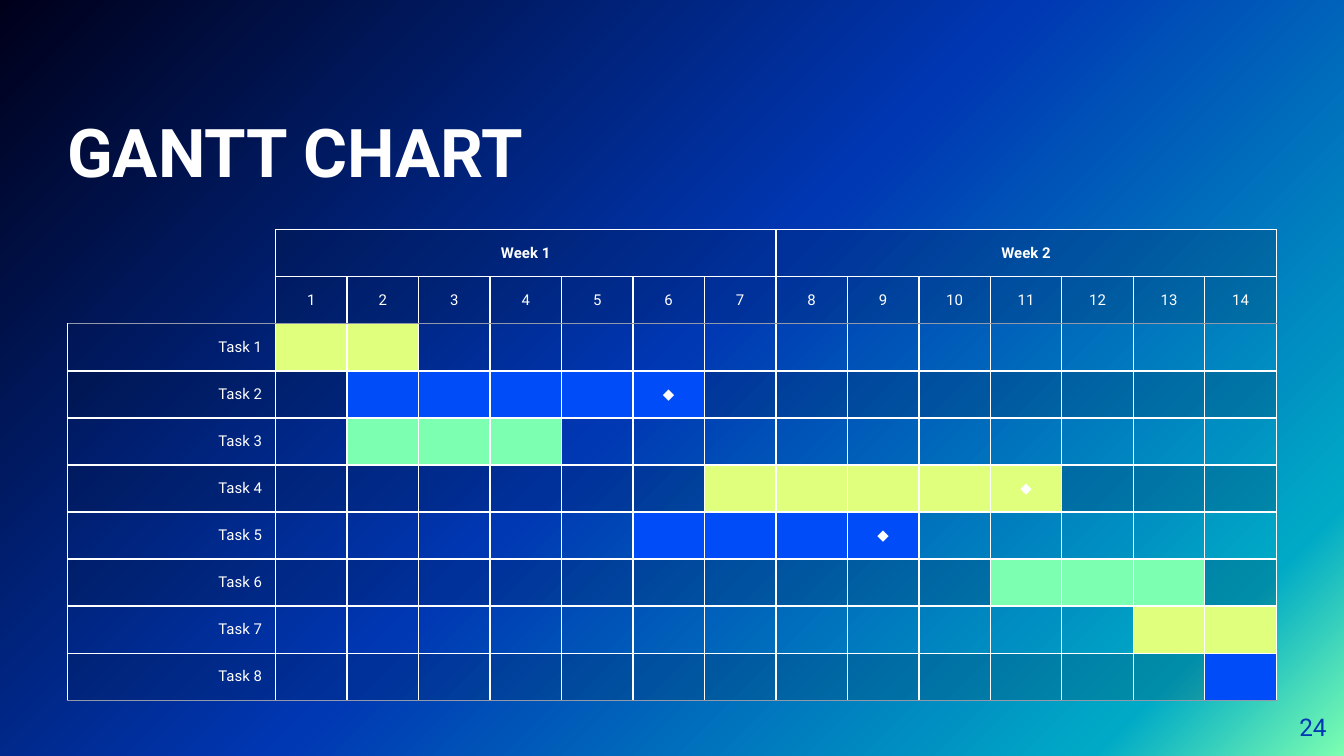
from lxml.etree import SubElement
from pptx import Presentation
from pptx.dml.color import RGBColor
from pptx.enum.text import MSO_ANCHOR, PP_ALIGN
from pptx.oxml.ns import qn
from pptx.util import Inches, Pt

WIDE = 10
HIGH = WIDE * 9 / 16
EDGE = WIDE / 20
FONT = "Roboto"
HUES = {"white": "FFFFFF", "grey": "9199AA", "shade": "001230",
        "lime": "E0FF7D", "blue": "004CF8", "mint": "7DFFB1",
        "navy": "0037B3", "teal": "00AAC6", "night": "00001A"}
GLOW = [(0, "mint"), (12, "teal"), (51, "navy"), (100, "night")]
WEEKS, DAYS, HEADS = 2, 7, 2
# First day, last day, bar colour, day of the milestone
TASKS = [(1, 2, "lime", None), (2, 6, "blue", 6), (2, 4, "mint", None),
         (7, 11, "lime", 11), (6, 9, "blue", 9), (11, 13, "mint", None),
         (13, 14, "lime", None), (14, 14, "blue", None)]
SPAN = WEEKS * DAYS
ROWS = HEADS + len(TASKS)
NAME, ROW = 1.55, 0.35
DAY = (WIDE - 2 * EDGE - NAME) / SPAN


def rgb(name):
    return RGBColor.from_string(HUES[name])


def style(item, form):
    for key, value in form.items():
        setattr(item, key, value)


def write(frame, text, size, hue="white", bold=False, align=PP_ALIGN.LEFT):
    para = frame.paragraphs[0]
    para.alignment = align
    run = para.add_run()
    run.text = text
    style(run.font, {"name": FONT, "size": Pt(size), "bold": bold})
    run.font.color.rgb = rgb(hue)


def place(shape, left, top, wide, high, anchor):
    style(shape, {"left": Inches(left), "top": Inches(top),
                  "width": Inches(wide), "height": Inches(high)})
    style(shape.text_frame, {
        "margin_left": 0, "margin_right": 0, "margin_top": 0,
        "margin_bottom": 0, "word_wrap": True, "vertical_anchor": anchor})


def backdrop(slide):
    fill = slide.background.fill
    fill.gradient()
    fill.gradient_angle = 135
    stops = slide.element.find(".//" + qn("a:gsLst"))
    for old in list(stops):
        stops.remove(old)
    for share, hue in GLOW:
        stop = SubElement(stops, qn("a:gs"), pos=str(share * 1000))
        SubElement(stop, qn("a:srgbClr"), val=HUES[hue])


def paint(cell, hue):
    """Fill a cell; shade is mostly clear and None leaves it open."""
    if hue is None:
        cell.fill.background()
        return
    cell.fill.solid()
    cell.fill.fore_color.rgb = rgb(hue)
    if hue == "shade":
        tint = cell._tc.tcPr.find(".//" + qn("a:srgbClr"))
        SubElement(tint, qn("a:alpha"), val="19000")


def edge(cell, hues):
    """Draw the left, right, top and bottom borders, in that order."""
    props = cell._tc.get_or_add_tcPr()
    for spot, (side, hue) in enumerate(zip("LRTB", hues)):
        line = SubElement(props, qn("a:ln" + side), w=str(Pt(0.75)))
        if hue:
            fill = SubElement(line, qn("a:solidFill"))
            SubElement(fill, qn("a:srgbClr"), val=HUES[hue])
        else:
            SubElement(line, qn("a:noFill"))
        props.insert(spot, line)


def borders(row, col):
    top = "grey" if row == HEADS else "white"
    base = "grey" if row in (HEADS - 1, ROWS - 1) else "white"
    if col == 0 and row < HEADS:
        return None, "white", None, "grey" if row == HEADS - 1 else None
    return "white", "white", top, base


def content(row, col):
    """Give the text, alignment and fill of one cell."""
    if row < HEADS:
        if col == 0:
            return "", PP_ALIGN.CENTER, None
        if row == 1:
            return str(col), PP_ALIGN.CENTER, "shade"
        week, day = divmod(col - 1, DAYS)
        return "" if day else f"Week {week + 1}", PP_ALIGN.CENTER, "shade"
    task = row - HEADS
    first, last, hue, goal = TASKS[task]
    base = "shade" if task % 2 else None
    if col == 0:
        return f"Task {task + 1}", PP_ALIGN.RIGHT, base
    mark = "◆" if col == goal else ""
    return mark, PP_ALIGN.CENTER, hue if first <= col <= last else base


def gantt(slide):
    frame = slide.shapes.add_table(
        ROWS, SPAN + 1, Inches(EDGE), Inches(1.71),
        Inches(NAME + SPAN * DAY), Inches(ROWS * ROW))
    table = frame.table
    style(table, {"first_row": False, "horz_banding": False})
    for col, line in enumerate(table.columns):
        line.width = Inches(DAY if col else NAME)
    for row, line in enumerate(table.rows):
        line.height = Inches(ROW)
        for col, cell in enumerate(line.cells):
            text, align, hue = content(row, col)
            cell.vertical_anchor = MSO_ANCHOR.MIDDLE
            paint(cell, hue)
            edge(cell, borders(row, col))
            if text:
                write(cell.text_frame, text, 8, bold=row == 0, align=align)
            else:
                para = cell.text_frame.paragraphs[0]._p
                SubElement(para, qn("a:endParaRPr"), sz="800")
    for week in range(WEEKS):
        start = 1 + week * DAYS
        table.cell(0, start).merge(table.cell(0, start + DAYS - 1))


def main():
    deck = Presentation()
    style(deck, {"slide_width": Inches(WIDE), "slide_height": Inches(HIGH)})
    slide = deck.slides.add_slide(deck.slide_layouts[5])
    backdrop(slide)
    title = slide.shapes.title
    place(title, EDGE, 0.48, 6.59, 0.94, MSO_ANCHOR.BOTTOM)
    write(title.text_frame, "GANTT CHART", 36, bold=True)
    page = slide.shapes.add_textbox(0, 0, 0, 0)
    place(page, 9.27, 5.19, 0.6, 0.43, MSO_ANCHOR.MIDDLE)
    write(page.text_frame, "24", 13, "navy", align=PP_ALIGN.RIGHT)
    gantt(slide)
    deck.save("out.pptx")


if __name__ == "__main__":
    main()
